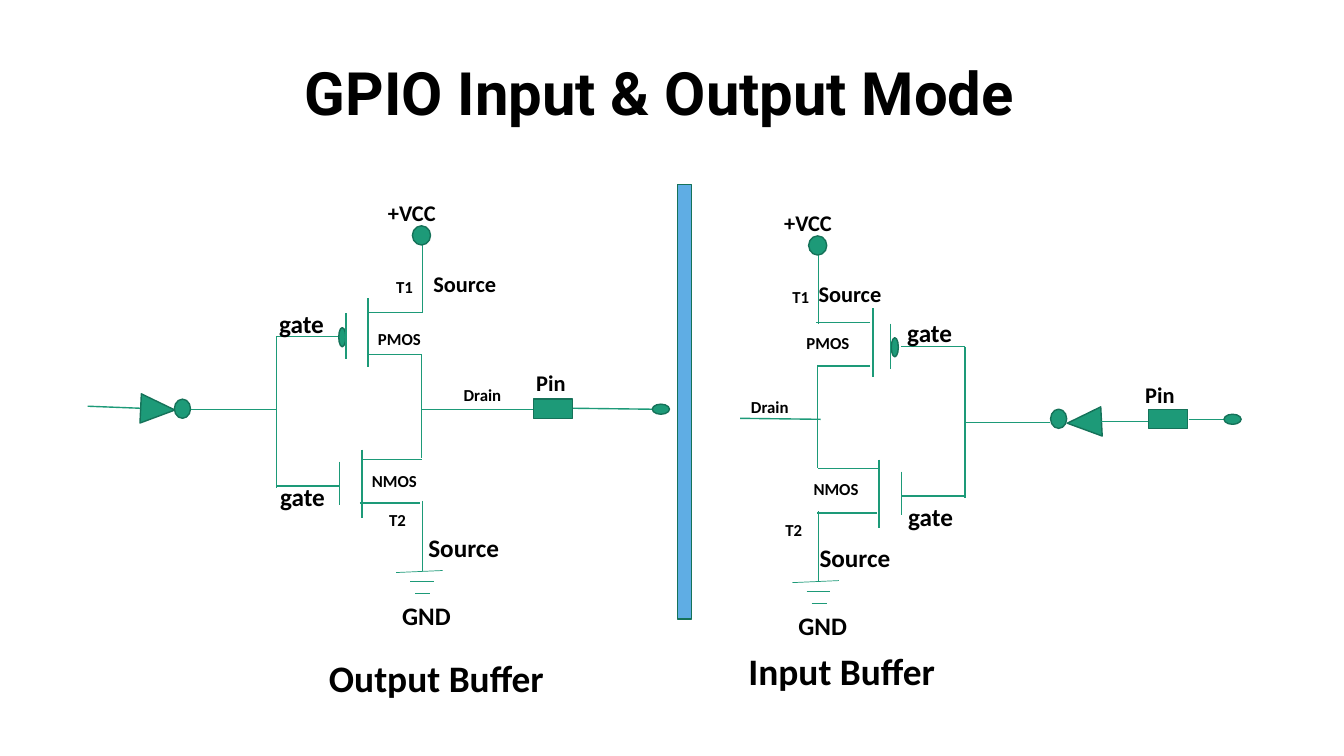
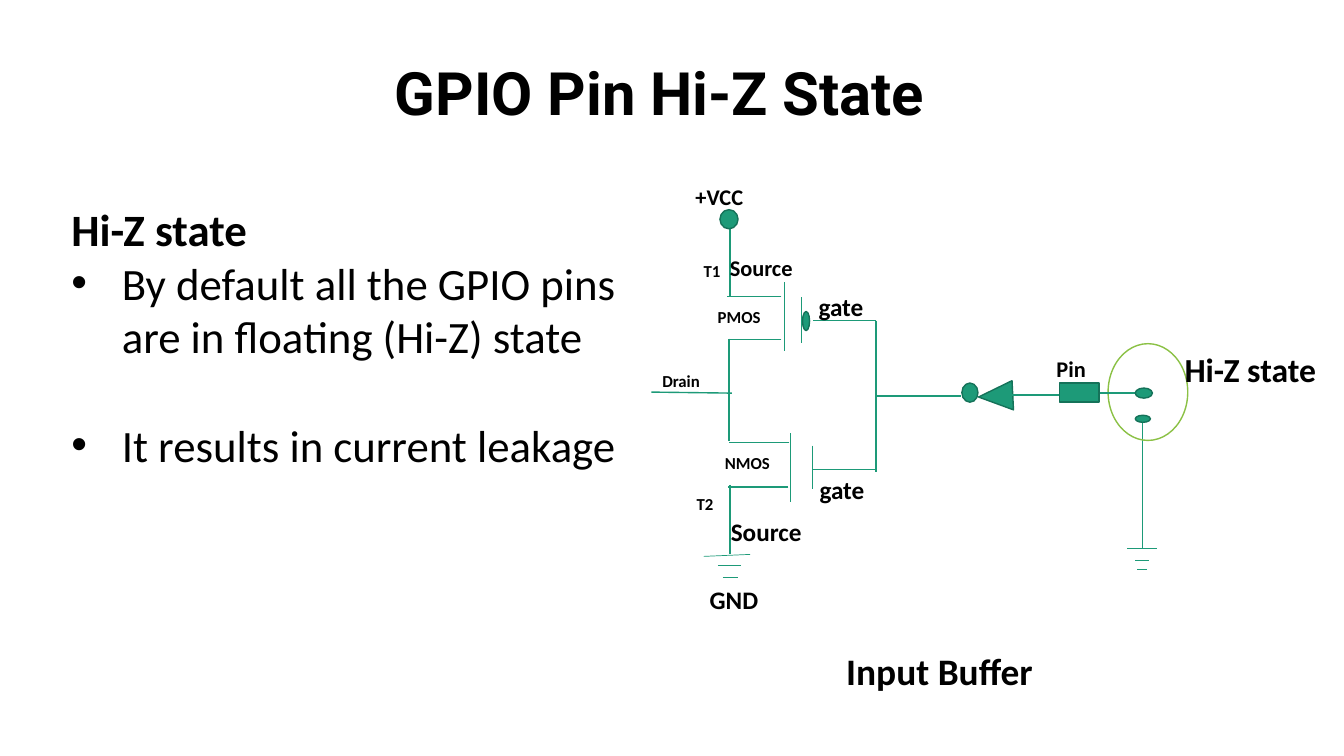
from lxml import etree
from pptx import Presentation
from pptx import util as u
from pptx.dml.color import RGBColor
from pptx.enum import shapes, text
from pptx.oxml.ns import qn

EMU_PER_PX = 9144  # 100 px to the inch

BLACK, GREEN, DARK_GREEN = "000000", "1D9A78", "157259"
BLUE, LIME = "5FADE4", "8BC145"
BODY_FONT, TITLE_FONT = "Calibri", "Roboto"
LABEL_HEIGHT = {12: 30, 16: 37, 18: 40, 24: 50}

OVAL = shapes.MSO_SHAPE.OVAL
RECTANGLE = shapes.MSO_SHAPE.RECTANGLE
TRIANGLE = shapes.MSO_SHAPE.ISOSCELES_TRIANGLE


def px(length):
    return u.Emu(length * EMU_PER_PX)


def color(hex_string):
    return RGBColor.from_string(hex_string)


class Deck:
    """Holds the style, the current slide and the origin of the current circuit."""

    def __init__(self):
        self.prs = Presentation()
        self.prs.slide_width, self.prs.slide_height = px(1333), px(750)
        self.slide = None
        self.origin = (0, 0)

    def new_slide(self, title):
        self.slide = self.prs.slides.add_slide(self.prs.slide_layouts[6])
        self.origin = (0, 0)
        self.label(title, 78, 50, 1153, 42.7, height=82, font=TITLE_FONT, centered=True)

    def place(self, x, y):
        return px(self.origin[0] + x), px(self.origin[1] + y)

    def frame(self, x, y, w, h):
        box = self.slide.shapes.add_textbox(*self.place(x, y), px(w), px(h))
        box.text_frame.word_wrap = True
        return box.text_frame

    def run(self, paragraph, words, size, font=BODY_FONT, bold=True):
        run = paragraph.add_run()
        run.text = words
        run.font.name, run.font.size, run.font.bold = font, u.Pt(size), bold
        run.font.color.rgb = color(BLACK)

    def label(self, words, x, y, w, size, height=None, font=BODY_FONT, centered=False):
        frame = self.frame(x, y, w, height or LABEL_HEIGHT[size])
        paragraph = frame.paragraphs[0]
        if centered:
            paragraph.alignment = text.PP_ALIGN.CENTER
        self.run(paragraph, words, size, font)

    def caption(self, words, x, y):
        self.label(words, x, y, 518, 26.7, height=55, centered=True)

    def bullets(self, heading, items, x, y, w, h, size, gap):
        frame = self.frame(x, y, w, h)
        self.run(frame.paragraphs[0], heading, size)
        for index, item in enumerate(items):
            paragraph = frame.add_paragraph()
            props = paragraph._p.get_or_add_pPr()
            props.set("marL", str(px(50)))
            props.set("indent", str(px(-50)))
            if index:
                paragraph.space_before = u.Pt(gap)
            etree.SubElement(props, qn("a:buFont")).set("typeface", "Arial")
            etree.SubElement(props, qn("a:buChar")).set("char", "•")
            self.run(paragraph, item, size, bold=False)

    def shape(self, kind, x, y, w, h, fill=GREEN, line=DARK_GREEN, rotation=0):
        part = self.slide.shapes.add_shape(kind, *self.place(x, y), px(w), px(h))
        part.shadow.inherit = False
        part.rotation = rotation
        if fill:
            part.fill.solid()
            part.fill.fore_color.rgb = color(fill)
        else:
            part.fill.background()
        part.line.color.rgb = color(line)
        part.line.width = u.Pt(1)

    def wire(self, x1, y1, x2, y2, width=1):
        part = self.slide.shapes.add_connector(
            shapes.MSO_CONNECTOR.STRAIGHT, *self.place(x1, y1), *self.place(x2, y2))
        part.line.color.rgb = color(GREEN)
        part.line.width = u.Pt(width)
        etree.SubElement(part._element.spPr, qn("a:effectLst"))


# Circuits are laid out around the point where the drain meets the spine.

def supply_spine(deck):
    """The line from +VCC down to GND."""
    for top, bottom, x in ((-165, -95, 0), (-54, 48, -1), (91, 160, 0)):
        deck.wire(x, top, x, bottom)
    deck.wire(-26, 162, 20, 160, 0.5)
    deck.wire(-12, 171, 11, 171, 0.5)
    deck.wire(-7, 183, 8, 183, 0.5)
    deck.shape(OVAL, -10, -182, 18, 19)
    deck.label("+VCC", -44, -213, 100, 16)
    deck.label("T1", -36, -136, 49, 12)
    deck.label("T2", -43, 95, 49, 12)
    deck.label("GND", -30, 185, 78, 18)


def transistors(deck, side, pmos_plate, pmos_bubble, leads):
    """Gates, plates and channels; side is -1 for left, 1 for right."""
    bus, plate = side * 145, side * 82
    deck.wire(bus, -72, bus, 78)
    deck.wire(bus, -72, plate, -72)
    deck.wire(bus, 76, plate, 76)
    deck.shape(OVAL, pmos_bubble, -81, 7, 19)
    deck.wire(pmos_plate, -95, pmos_plate, -50)
    deck.wire(plate, 52, plate, 95)
    for channel, top in ((54, -110), (60, 40)):
        deck.wire(side * channel, top, side * channel, top + 68)
    for start, end, y in leads:
        deck.wire(start, y, end, y)


def pin_and_labels(deck, pin_x, terminal_x, spots):
    deck.shape(RECTANGLE, pin_x, -10, 39, 19)
    deck.shape(OVAL, terminal_x, -5, 17, 10)
    names = (("Drain", 71, 12), ("NMOS", 71, 12), ("PMOS", 71, 12),
             ("Source", 92, 16), ("Source", 111, 18), ("Pin", 71, 16),
             ("gate", 84, 18), ("gate", 84, 18))
    for (name, w, size), (x, y) in zip(names, spots):
        deck.label(name, x, y, w, size)


def output_buffer(deck, x, y):
    deck.origin = (x, y)
    # Inverter
    deck.shape(TRIANGLE, -277, -17, 29, 34, rotation=92.7)
    deck.shape(OVAL, -246, -10, 16, 19)
    deck.wire(-332, -3, -280, -1)
    deck.wire(-230, 0, -145, 0)
    transistors(deck, -1, -76, -83,
                ((-54, 0, -96), (-54, 0, -54), (-60, 0, 50), (-62, -2, 93)))
    supply_spine(deck)
    # Drain to pin
    deck.wire(-1, 0, 110, 0)
    deck.wire(149, -1, 228, 0)
    pin_and_labels(deck, 110, 228, (
        (31, -29), (-60, 56), (-54, -85), (1, -143),
        (-4, 117), (103, -45), (-151, 67), (-152, -105)))
    deck.origin = (0, 0)


def input_buffer(deck, x, y):
    deck.origin = (x, y)
    # Inverter
    deck.shape(TRIANGLE, 249, -14, 29, 34, rotation=267.1)
    deck.shape(OVAL, 230, -10, 16, 19)
    deck.wire(280, 2, 329, 2)
    deck.wire(145, 3, 229, 3)
    transistors(deck, 1, 71, 72,
                ((51, -3, -96), (51, -2, -53), (59, -1, 49), (58, -2, 93)))
    supply_spine(deck)
    # Pin and drain ends
    deck.wire(367, 0, 407, 0)
    deck.wire(-78, -1, 2, 0)
    pin_and_labels(deck, 327, 402, (
        (-77, -27), (-15, 54), (-22, -91), (-10, -143),
        (-9, 117), (314, -43), (79, 76), (78, -106)))
    deck.origin = (0, 0)


def modes_slide(deck):
    deck.new_slide("GPIO Input & Output Mode")
    deck.caption("Output Buffer", 174, 645)
    deck.caption("Input Buffer", 576, 638)
    deck.shape(RECTANGLE, 672, 183, 14, 431, fill=BLUE)
    output_buffer(deck, 419, 406)
    input_buffer(deck, 812, 416)


def hi_z_slide(deck):
    deck.new_slide("GPIO Pin Hi-Z State")
    deck.caption("Input Buffer", 673, 638)
    deck.bullets("Hi-Z state",
                 ("By default all the GPIO pins are in floating (Hi-Z) state",
                  "It results in current leakage"),
                 61, 195, 566, 279, size=32, gap=39)
    # Floating contact and its ground
    deck.wire(1133, 419, 1133, 544, 0.5)
    for half_width, y in ((15, 544), (7, 556), (5, 565)):
        deck.wire(1133 - half_width, y, 1133 + half_width, y, 0.5)
    deck.shape(OVAL, 1126, 412, 15, 7)
    deck.shape(OVAL, 1099, 341, 79, 96, fill=None, line=LIME)
    deck.label("Hi-Z state", 1165, 341, 168, 24)
    input_buffer(deck, 724, 390)


def main():
    deck = Deck()
    modes_slide(deck)
    hi_z_slide(deck)
    deck.prs.save("out.pptx")


if __name__ == "__main__":
    main()
